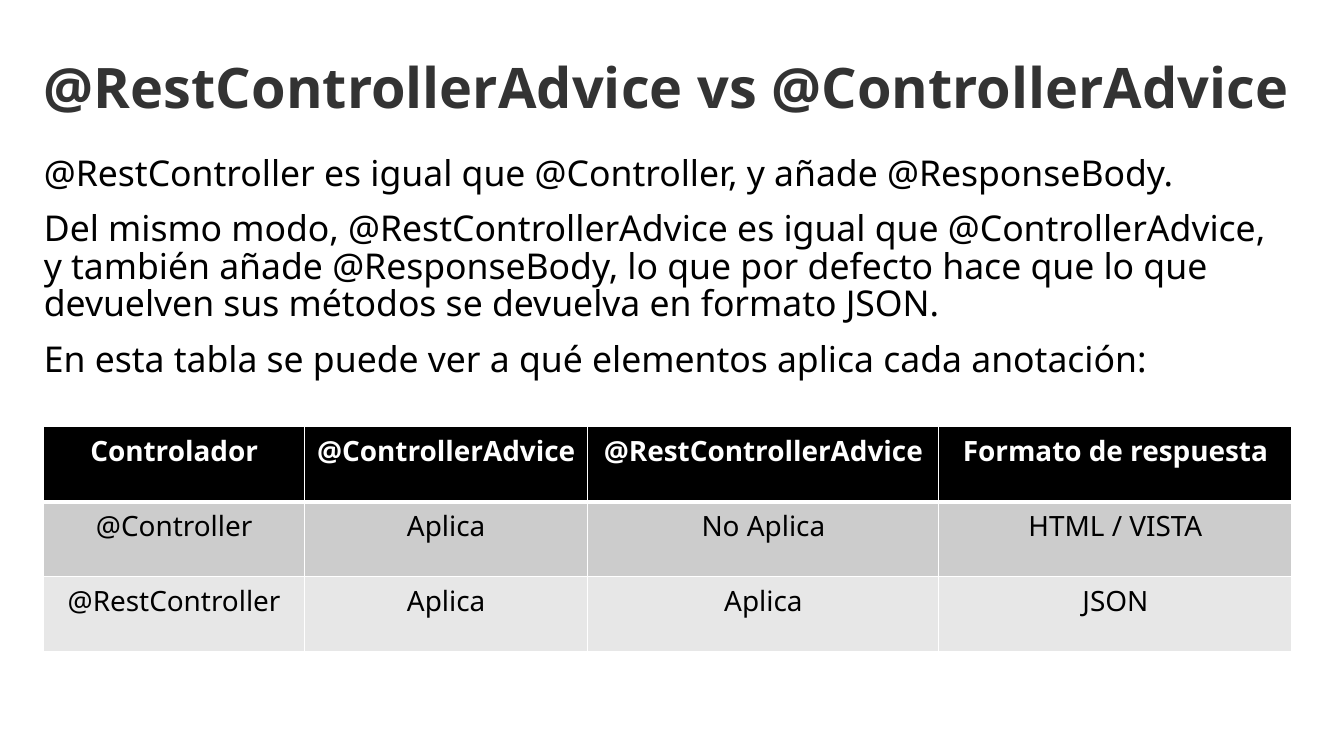
"""Build a slide that compares two Spring advice annotations in a table."""
from dataclasses import dataclass

from lxml.etree import SubElement
from pptx import Presentation
from pptx.dml.color import RGBColor as Color
from pptx.enum.text import MSO_ANCHOR as Anchor, MSO_AUTO_SIZE as AutoSize, PP_ALIGN as Align
from pptx.oxml.ns import qn
from pptx.util import Pt


@dataclass(frozen=True)
class Theme:
    font: str = "Noto Sans"
    white: str = "FFFFFF"
    black: str = "000000"
    heading: str = "333333"
    row_fills: tuple = ("000000", "CCCCCC", "E7E7E7")
    title_size: int = 44
    body_size: int = 28
    table_size: int = 22


THEME = Theme()
LEFT, WIDTH = 34.56, 982.8
TITLE_TOP, TITLE_HEIGHT = 12.24, 110.88
BODY_TOP, BODY_HEIGHT = 123.12, 439.92
TABLE_TOP, ROW_HEIGHT = 336.24, 59.04
COLUMN_WIDTHS = (205.2, 223.2, 276.48, 277.92)
PARAGRAPHS = (
    "@RestController es igual que @Controller, y añade @ResponseBody.",
    "Del mismo modo, @RestControllerAdvice es igual que @ControllerAdvice, "
    "y también añade @ResponseBody, lo que por defecto hace que lo que "
    "devuelven sus métodos se devuelva en formato JSON.",
    "En esta tabla se puede ver a qué elementos aplica cada anotación:",
)
ROWS = (
    ("Controlador", "@ControllerAdvice", "@RestControllerAdvice", "Formato de respuesta"),
    ("@Controller", "Aplica", "No Aplica", "HTML / VISTA"),
    ("@RestController", "Aplica", "Aplica", "JSON"),
)


def write(para, text, size, color=THEME.black, bold=False, align=Align.LEFT, after=0, spacing=1.0):
    """Put formatted text into a paragraph."""
    para.alignment = align
    para.space_before, para.space_after = Pt(0), Pt(after)
    para.line_spacing = spacing
    span = para.add_run()
    span.text = text
    span.font.name = THEME.font
    span.font.size = Pt(size)
    span.font.bold = bold
    span.font.color.rgb = Color.from_string(color)


def set_frame(frame, anchor):
    """Make a text frame wrap, without insets or autofit."""
    frame.word_wrap = True
    frame.auto_size = AutoSize.NONE
    frame.vertical_anchor = anchor
    frame.margin_left = frame.margin_right = frame.margin_top = frame.margin_bottom = Pt(0)


deck = Presentation()
deck.slide_width, deck.slide_height = Pt(1058.4), Pt(595.44)
page = deck.slides.add_slide(deck.slide_layouts[5])

title = page.shapes.title
title.left, title.top = Pt(LEFT), Pt(TITLE_TOP)
title.width, title.height = Pt(WIDTH), Pt(TITLE_HEIGHT)
set_frame(title.text_frame, Anchor.MIDDLE)
write(title.text_frame.paragraphs[0], "@RestControllerAdvice vs @ControllerAdvice",
      THEME.title_size, color=THEME.heading, bold=True)

box = page.shapes.add_textbox(Pt(LEFT), Pt(BODY_TOP), Pt(WIDTH), Pt(BODY_HEIGHT))
set_frame(box.text_frame, Anchor.TOP)
for index, text in enumerate(PARAGRAPHS):
    para = box.text_frame.add_paragraph() if index else box.text_frame.paragraphs[0]
    write(para, text, THEME.body_size, after=14.1, spacing=0.88)

table = page.shapes.add_table(len(ROWS), len(COLUMN_WIDTHS), Pt(LEFT), Pt(TABLE_TOP),
                              Pt(WIDTH), Pt(ROW_HEIGHT * len(ROWS))).table
table.horz_banding = False
for column, width in zip(table.columns, COLUMN_WIDTHS):
    column.width = Pt(width)

for row_index, texts in enumerate(ROWS):
    header = row_index == 0
    table.rows[row_index].height = Pt(ROW_HEIGHT)
    for column_index, text in enumerate(texts):
        cell = table.cell(row_index, column_index)
        write(cell.text_frame.paragraphs[0], text, THEME.table_size, bold=header,
              color=THEME.white if header else THEME.black, align=Align.CENTER)
        properties = cell._tc.get_or_add_tcPr()
        for side in ("lnL", "lnR", "lnT", "lnB"):
            thick = (row_index, side) in ((0, "lnB"), (1, "lnT"))
            border = SubElement(properties, qn(f"a:{side}"), w=str(Pt(3 if thick else 1)))
            paint = SubElement(border, qn("a:solidFill"))
            SubElement(paint, qn("a:srgbClr"), val=THEME.white)
        cell.fill.solid()
        cell.fill.fore_color.rgb = Color.from_string(THEME.row_fills[row_index])

deck.save("out.pptx")
